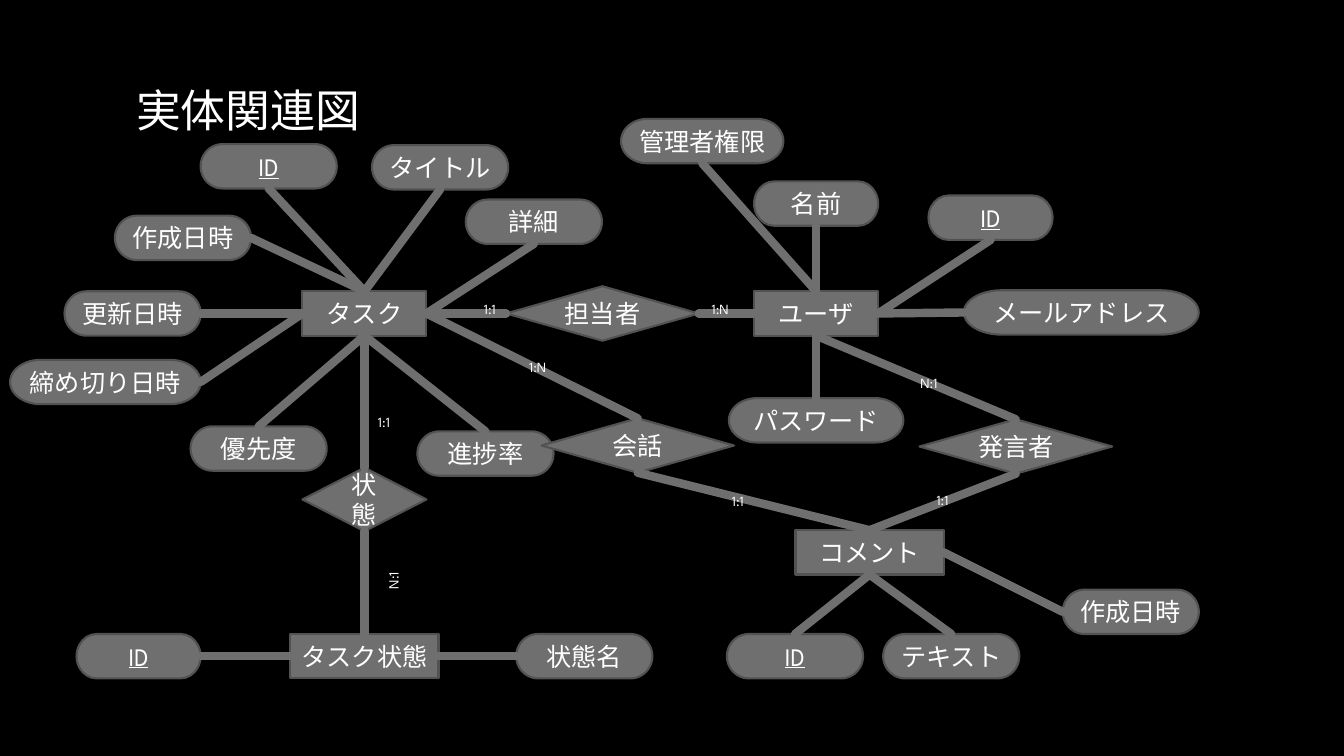
from pptx import Presentation
from pptx import util as u
from pptx.dml.color import RGBColor
from pptx.enum import shapes, text
from pptx.oxml.ns import qn
from lxml import etree

# Content, lengths in px (100 px to the inch)
PX = 9144
SIZE = (1333, 750)
FONT = "League Spartan"
COLORS = {"back": "000000", "fill": "6F6F6F", "edge": "525252",
          "text": "FFFFFF", "title_end": "A6A6A6"}
TITLE = ("実体関連図", (125, 67, 1083, 83))
ROW_H = 44
TOP, LEFT, BOTTOM, RIGHT = range(4)

# key: (text, left, top, width)
ENTITIES = {
    "task": ("タスク", 300, 289, 123),
    "state": ("タスク状態", 288, 629, 147),
    "user": ("ユーザ", 748, 289, 123),
    "comment": ("コメント", 789, 526, 147),
}
ATTRIBUTES = {
    "user_name": ("名前", 748, 180, 123),
    "mail": ("メールアドレス", 956, 288, 233),
    "password": ("パスワード", 723, 395, 173),
    "title": ("タイトル", 369, 144, 135),
    "task_created": ("作成日時", 114, 214, 135),
    "updated": ("更新日時", 64, 289, 135),
    "deadline": ("締め切り日時", 10, 357, 189),
    "priority": ("優先度", 189, 423, 135),
    "progress": ("進捗率", 414, 428, 135),
    "detail": ("詳細", 462, 198, 135),
    "state_name": ("状態名", 512, 629, 135),
    "user_id": ("ID", 921, 194, 123),
    "state_id": ("ID", 76, 629, 123),
    "task_id": ("ID", 199, 143, 135),
    "comment_id": ("ID", 721, 629, 135),
    "body": ("テキスト", 876, 629, 135),
    "admin": ("管理者権限", 616, 118, 161),
    "comment_created": ("作成日時", 1054, 585, 135),
}
# key: (text, left, top, width, height)
RELATIONS = {
    "assignee": ("担当者", 502, 284, 191, 54),
    "status": ("状態", 300, 464, 123, 63),
    "talk": ("会話", 537, 415, 191, 54),
    "speaker": ("発言者", 912, 416, 191, 54),
}
# (from, side, to, side)
LINKS = [
    ("state", TOP, "status", BOTTOM),
    ("state", RIGHT, "state_name", LEFT),
    ("status", TOP, "task", BOTTOM),
    ("priority", TOP, "task", BOTTOM),
    ("progress", TOP, "task", BOTTOM),
    ("deadline", RIGHT, "task", LEFT),
    ("updated", RIGHT, "task", LEFT),
    ("task_created", RIGHT, "task", TOP),
    ("title", BOTTOM, "task", TOP),
    ("task_id", BOTTOM, "task", TOP),
    ("detail", BOTTOM, "task", RIGHT),
    ("assignee", LEFT, "task", RIGHT),
    ("user", LEFT, "assignee", RIGHT),
    ("user_name", BOTTOM, "user", TOP),
    ("admin", BOTTOM, "user", TOP),
    ("user", BOTTOM, "password", TOP),
    ("user", RIGHT, "mail", LEFT),
    ("user_id", BOTTOM, "user", RIGHT),
    ("state_id", RIGHT, "state", LEFT),
    ("comment_id", TOP, "comment", BOTTOM),
    ("body", TOP, "comment", BOTTOM),
    ("speaker", BOTTOM, "comment", TOP),
    ("speaker", TOP, "user", BOTTOM),
    ("comment", TOP, "talk", BOTTOM),
    ("talk", TOP, "task", RIGHT),
    ("comment", RIGHT, "comment_created", LEFT),
]
# (text, left, top, rotation)
LABELS = [
    ("1:1", 470, 293, 0), ("1:N", 696, 293, 0),
    ("1:1", 365, 405, 0), ("N:1", 369, 560, 270),
    ("1:N", 515, 351, 0), ("1:1", 716, 484, 0),
    ("1:1", 919, 483, 0), ("N:1", 903, 367, 0),
]
LABEL_SIZE = (42, 27)


def emu(*lengths):
    return [u.Emu(n * PX) for n in lengths]


def rgb(name):
    return RGBColor.from_string(COLORS[name])


def write(tf, words, size, **form):
    """Put one run of text into a frame and format it."""
    p = tf.paragraphs[0]
    r = p.add_run()
    r.text = words
    for name, value in {"name": FONT, "size": u.Pt(size), **form}.items():
        setattr(r.font, name, value)
    r.font.fill.solid()
    r.font.fill.fore_color.rgb = rgb("text")
    return p, r


def add_node(kind, words, x, y, w, h=ROW_H):
    sp = s.shapes.add_shape(kind, *emu(x, y, w, h))
    sp.shadow.inherit = False
    sp.fill.solid()
    sp.fill.fore_color.rgb = rgb("fill")
    sp.line.color.rgb = rgb("edge")
    sp.line.width = u.Pt(1.5)
    sp.text_frame.vertical_anchor = text.MSO_ANCHOR.MIDDLE
    p, r = write(sp.text_frame, words, 18, underline=words == "ID")
    p.alignment = text.PP_ALIGN.CENTER
    return sp


prs = Presentation()
prs.slide_width, prs.slide_height = emu(*SIZE)
s = prs.slides.add_slide(prs.slide_layouts[5])
s.background.fill.solid()
s.background.fill.fore_color.rgb = rgb("back")

# Title with a gradient fill
title = s.shapes.title
title.left, title.top, title.width, title.height = emu(*TITLE[1])
title.text_frame.vertical_anchor = text.MSO_ANCHOR.MIDDLE
p, r = write(title.text_frame, TITLE[0], 32)
p.alignment = text.PP_ALIGN.LEFT
r.font.fill.gradient()
r.font.fill.gradient_angle = 267
for stop, name in zip(r.font.fill.gradient_stops, ("text", "title_end")):
    stop.color.rgb = rgb(name)

# Entities, attributes and relations
nodes = {}
for kind, group in (
    (shapes.MSO_SHAPE.RECTANGLE, ENTITIES),
    (shapes.MSO_SHAPE.FLOWCHART_TERMINATOR, ATTRIBUTES),
    (shapes.MSO_SHAPE.FLOWCHART_DECISION, RELATIONS),
):
    for key, node in group.items():
        nodes[key] = add_node(kind, *node)

# Links, joined to the nodes
for start, start_side, end, end_side in LINKS:
    link = s.shapes.add_connector(shapes.MSO_CONNECTOR.STRAIGHT, 0, 0, 0, 0)
    link.begin_connect(nodes[start], start_side)
    link.end_connect(nodes[end], end_side)
    link.line.color.rgb = rgb("fill")
    link.line.width = u.Pt(6)
    link.line._get_or_add_ln().set("cap", "rnd")
    etree.SubElement(link._element.spPr, qn("a:effectLst"))

# Cardinality labels
for words, x, y, rotation in LABELS:
    box = s.shapes.add_textbox(*emu(x, y, *LABEL_SIZE))
    box.rotation = rotation
    box.text_frame.word_wrap = True
    box.text_frame.auto_size = text.MSO_AUTO_SIZE.SHAPE_TO_FIT_TEXT
    write(box.text_frame, words, 10)

prs.save("out.pptx")
